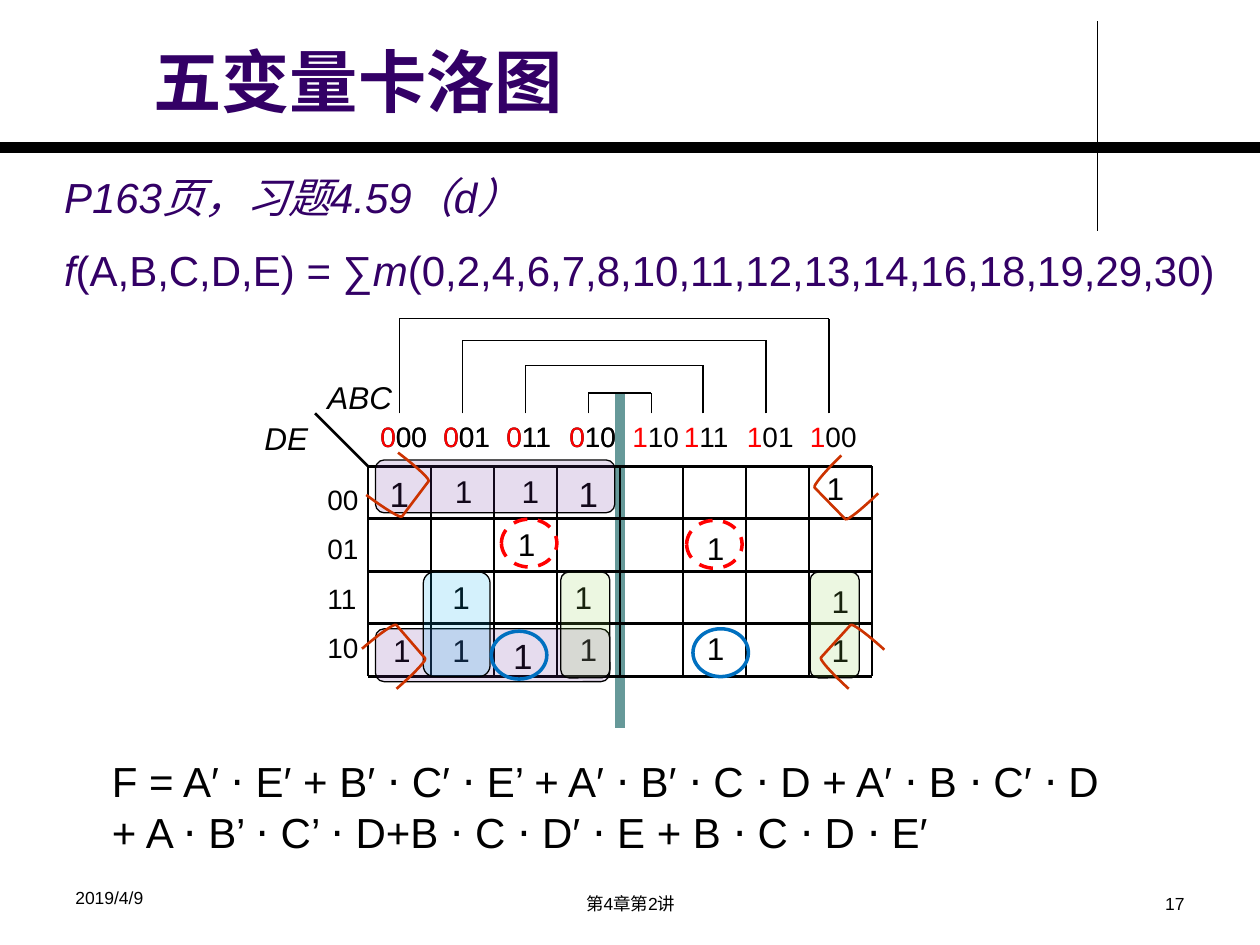
from lxml import etree
from pptx import Presentation
from pptx.dml.color import RGBColor
from pptx.enum.dml import MSO_LINE
from pptx.enum.shapes import MSO_CONNECTOR, MSO_SHAPE
from pptx.enum.text import MSO_ANCHOR, PP_ALIGN
from pptx.oxml.ns import qn
from pptx.util import Inches, Pt

BLACK = RGBColor(0x00, 0x00, 0x00)
INDIGO = RGBColor(0x33, 0x00, 0x66)
RED = RGBColor(0xFF, 0x00, 0x00)
BLUE = RGBColor(0x00, 0x70, 0xC0)
TEAL = RGBColor(0x66, 0x99, 0x99)
RUST = RGBColor(0xCC, 0x33, 0x00)
PURPLE = RGBColor(0x70, 0x30, 0xA0)
SKY = RGBColor(0x00, 0xB0, 0xF0)
GREEN = RGBColor(0x92, 0xD0, 0x50)

LEFT, TOP, COLUMN, ROW = 2.92, 3.7, 0.5, 0.417
RIGHT, BOTTOM = LEFT + 8 * COLUMN, TOP + 4 * ROW
LABEL_TOP = 3.28


class SlideBuilder:
    font_name = "Arial"

    def __init__(self, page):
        self.page = page

    def text(self, frame, paragraphs, size, color=BLACK, align=PP_ALIGN.LEFT,
             anchor=MSO_ANCHOR.TOP, gap=0, **style):
        """Each paragraph is a list of (text, format overrides) spans."""
        box = self.page.shapes.add_textbox(*map(Inches, frame))
        body = box.text_frame
        body.word_wrap = True
        body.vertical_anchor = anchor
        for index, spans in enumerate(paragraphs):
            para = body.paragraphs[0] if index == 0 else body.add_paragraph()
            para.alignment = align
            if index and gap:
                para.space_before = Pt(gap)
            for words, changes in spans:
                span = para.add_run()
                span.text = words
                values = {"name": self.font_name, "size": Pt(size), **style, **changes}
                span.font.color.rgb = values.pop("color", color)
                for name, value in values.items():
                    setattr(span.font, name, value)

    def line(self, start, end, width=0.75, color=BLACK):
        line = self.page.shapes.add_connector(
            MSO_CONNECTOR.STRAIGHT, *map(Inches, (*start, *end)))
        line.line.width = Pt(width)
        line.line.color.rgb = color
        etree.SubElement(line._element.spPr, qn("a:effectLst"))

    def shape(self, kind, frame, color=BLACK, width=0.75, tint=None,
              dash=None, rotation=0, corner=None):
        shape = self.page.shapes.add_shape(kind, *map(Inches, frame))
        shape.shadow.inherit = False
        shape.rotation = rotation
        if corner is not None:
            shape.adjustments[0] = corner
        shape.line.color.rgb = color
        shape.line.width = Pt(width)
        if dash:
            shape.line.dash_style = dash
        if tint is None:
            shape.fill.background()
        else:
            shape.fill.solid()
            shape.fill.fore_color.rgb = tint
            shade = shape._element.spPr.find(qn("a:solidFill"))[0]
            etree.SubElement(shade, qn("a:alpha"), val="17000")


def plain(*lines):
    return [[(words, {})] for words in lines]


def add_headings(builder):
    builder.line((8.71, 0.17), (8.71, 1.83))
    builder.line((0, 1.17), (10, 1.17), 6)
    builder.text((1.12, 0.2, 7.55, 0.81), plain("五变量卡洛图"), 39, INDIGO,
                 anchor=MSO_ANCHOR.BOTTOM, bold=True)
    upright = {"italic": False}
    builder.text((0.41, 1.31, 9.48, 1.11), [
        [("P163页，习题4.59（d）", {})],
        [("f", {}), ("(A,B,C,D,E) = ∑", upright), ("m", {}),
         ("(0,2,4,6,7,8,10,11,12,13,14,16,18,19,29,30)", upright)],
    ], 24, INDIGO, gap=13, italic=True)


def add_map(builder):
    builder.line((2.5, LABEL_TOP), (LEFT, TOP), 1.5)
    builder.text((2, LABEL_TOP, 0.58, 0.4), plain("DE"), 18, italic=True)
    builder.text((2.5, 2.95, 0.83, 0.4), plain("ABC"), 18, italic=True)
    builder.text((2.5, 3.78, 0.5, 1.57), plain("00", "01", "11", "10"), 16, gap=9)
    builder.line((4.92, 3.12), (4.92, 5.78), 6, TEAL)
    for row in range(5):
        y = TOP + row * ROW
        builder.line((LEFT, y), (RIGHT, y), 1.5)
    for column in range(9):
        x = LEFT + column * COLUMN
        builder.line((x, TOP), (x, BOTTOM))


def add_column_codes(builder):
    """Label mirrored columns and bracket each pair together."""
    pairs = [("10", 4.42, 4.92, 3.12), ("11", 3.92, 5.33, 2.9),
             ("01", 3.42, 5.83, 2.7), ("00", 2.92, 6.33, 2.53)]
    for code, left, right, height in pairs:
        builder.text((left, LABEL_TOP, 0.58, 0.37), plain("0" + code), 16)
        for lead, x in (("0", left), ("1", right)):
            builder.text((x, LABEL_TOP, 0.58, 0.37),
                         [[(lead, {"color": RED}), (code, {})]], 16)
            builder.line((x + 0.25, LABEL_TOP), (x + 0.25, height))
        builder.line((left + 0.25, height), (right + 0.25, height))


def add_minterms(builder):
    minterms = [
        (2.92, 3.7, 20), (3.43, 3.7, 18), (3.96, 3.7, 18), (4.42, 3.7, 20), (6.38, 3.67, 18),
        (3.93, 4.12, 18), (5.43, 4.15, 18),
        (3.41, 4.54, 18), (4.38, 4.54, 18), (6.42, 4.57, 18),
        (2.94, 4.96, 18), (3.41, 4.96, 18), (3.9, 4.99, 20), (4.42, 4.95, 18),
        (5.43, 4.94, 18), (6.42, 4.96, 18),
    ]
    for x, y, size in minterms:
        builder.text((x, y, COLUMN, 0.42), plain("1"), size, align=PP_ALIGN.CENTER)


def add_groups(builder):
    blocks = [((2.98, 3.65, 1.9, 0.42), PURPLE), ((2.98, 4.99, 1.86, 0.42), PURPLE),
              ((3.36, 4.54, 0.53, 0.83), SKY), ((4.45, 4.54, 0.39, 0.84), GREEN),
              ((6.43, 4.54, 0.39, 0.84), GREEN)]
    for frame, tint in blocks:
        builder.shape(MSO_SHAPE.ROUNDED_RECTANGLE, frame, tint=tint, corner=0.167)
    corners = [(6.54, 3.67, 135.7), (6.59, 4.99, 222.3), (2.97, 4.99, 319.2), (3, 3.65, 37)]
    for x, y, angle in corners:
        builder.shape(MSO_SHAPE.RIGHT_BRACKET, (x, y, 0.33, 0.42), RUST, 1.5,
                      rotation=angle, corner=0.104)
    rings = [(5.45, 4.13, RED, MSO_LINE.DASH), (3.98, 4.12, RED, MSO_LINE.DASH),
             (5.5, 4.99, BLUE, None), (3.9, 5.01, BLUE, None)]
    for x, y, color, dash in rings:
        builder.shape(MSO_SHAPE.OVAL, (x, y, 0.44, 0.38), color, 2, dash=dash)


def add_result_and_footer(builder):
    builder.text((0.79, 5.95, 8.62, 0.91), plain(
        "F = A′ ⋅ E′ + B′ ⋅ C′ ⋅ E’ + A′ ⋅ B′ ⋅ C ⋅ D + A′ ⋅ B ⋅ C′ ⋅ D",
        "+ A ⋅ B’ ⋅ C’ ⋅ D+B ⋅ C ⋅ D′ ⋅ E + B ⋅ C ⋅ D ⋅ E′"), 24)
    builder.text((0.5, 6.99, 2.33, 0.34), plain("2019/4/9"), 10)
    builder.text((3.42, 7.04, 3.17, 0.29), plain("第4章第2讲"), 10, align=PP_ALIGN.CENTER)
    builder.text((7.17, 7.04, 2.33, 0.29), plain("17"), 10, align=PP_ALIGN.RIGHT)


def main():
    deck = Presentation()
    deck.slide_width, deck.slide_height = Inches(10), Inches(7.5)
    builder = SlideBuilder(deck.slides.add_slide(deck.slide_layouts[6]))
    for add_part in (add_headings, add_map, add_column_codes, add_minterms,
                     add_groups, add_result_and_footer):
        add_part(builder)
    deck.save("out.pptx")


if __name__ == "__main__":
    main()
